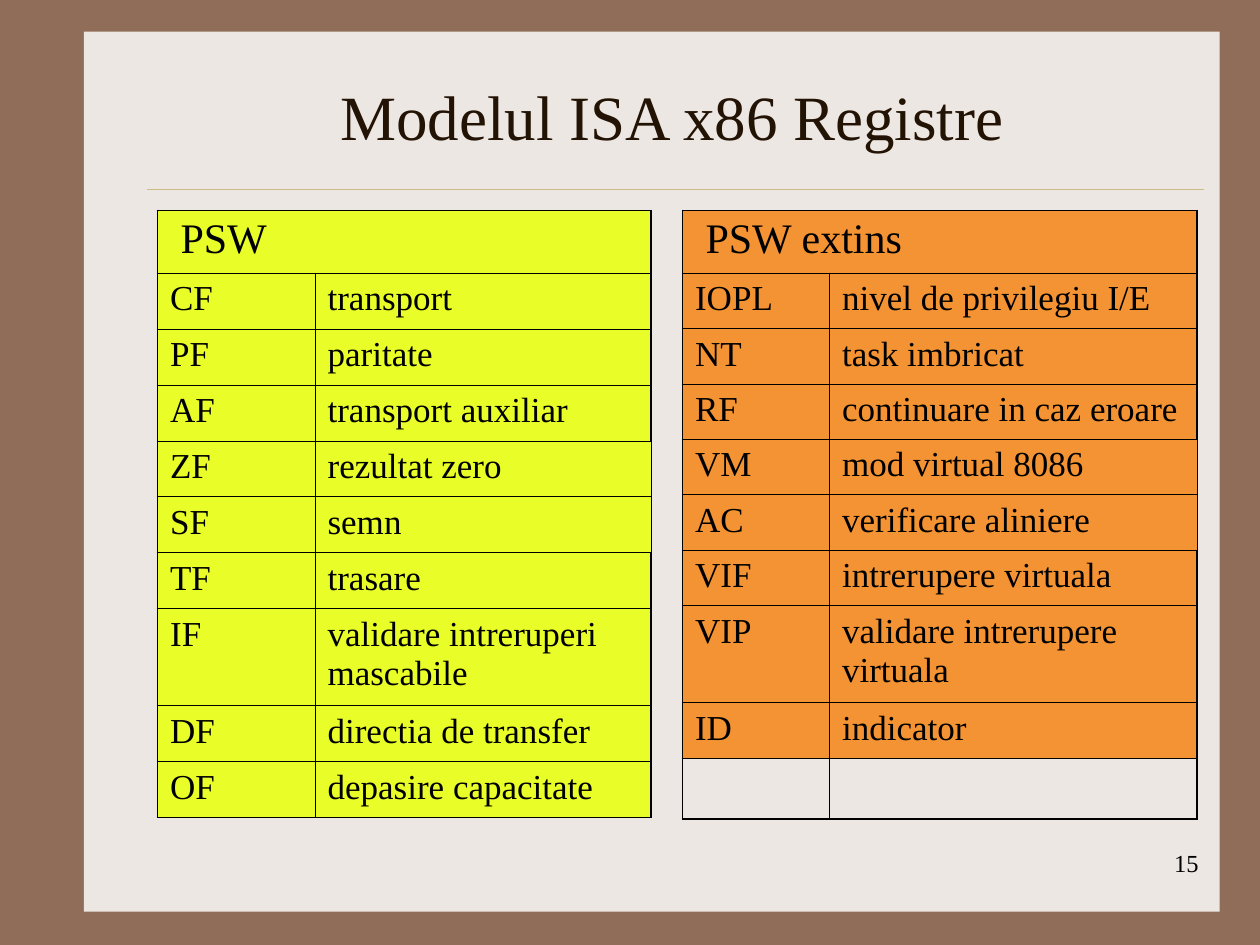
"""Build the x86 flag register slide with two tables of PSW flags."""
from dataclasses import dataclass

import lxml.etree
import pptx
import pptx.dml.color
import pptx.enum.shapes
import pptx.enum.text
import pptx.oxml.ns
import pptx.util

Pt = pptx.util.Pt
COLORS = {
    "frame": "906D58",
    "panel": "EDE7E3",
    "rule": "CBBD83",
    "title": "221304",
    "text": "000000",
    "yellow": "E9FD29",
    "orange": "F39333",
}
FONT = "Times New Roman"
THIN, THICK = 0.45, 1.08
HEADER_HEIGHT, TWO_LINE_HEIGHT = 36, 55.4
TABLE_TOP = 120
THIN_EDGE_ROWS = (4, 5)
TWO_LINE_ROW = 7


@dataclass
class FlagTable:
    """Content and geometry of one register table."""

    heading: str
    fill: str
    left: float
    widths: tuple[float, float]
    row_height: float
    last_height: float
    flags: list[tuple[str, str]]


TABLES = [
    FlagTable("PSW", "yellow", 90, (90, 192), 32, 32, [
        ("CF", "transport"),
        ("PF", "paritate"),
        ("AF", "transport auxiliar"),
        ("ZF", "rezultat zero"),
        ("SF", "semn"),
        ("TF", "trasare"),
        ("IF", "validare intreruperi mascabile"),
        ("DF", "directia de transfer"),
        ("OF", "depasire capacitate"),
    ]),
    FlagTable("PSW extins", "orange", 390, (84, 210), 31.7, 34.9, [
        ("IOPL", "nivel de privilegiu I/E"),
        ("NT", "task imbricat"),
        ("RF", "continuare in caz eroare"),
        ("VM", "mod virtual 8086"),
        ("AC", "verificare aliniere"),
        ("VIF", "intrerupere virtuala"),
        ("VIP", "validare intrerupere virtuala"),
        ("ID", "indicator"),
        ("", ""),
    ]),
]


def rgb(name: str) -> pptx.dml.color.RGBColor:
    """Return a named colour."""
    return pptx.dml.color.RGBColor.from_string(COLORS[name])


def write(frame, text: str, size: float, color: str = "text", align=None) -> None:
    """Put one formatted paragraph in a text frame."""
    frame.text = text
    para = frame.paragraphs[0]
    para.alignment = align
    for span in para.runs:
        span.font.size = Pt(size)
        span.font.name = FONT
        span.font.color.rgb = rgb(color)


def add_borders(cell, left: float, right: float, top: float, bottom: float) -> None:
    """Draw the four borders of a cell with the given widths."""
    properties = cell._tc.get_or_add_tcPr()
    qn = pptx.oxml.ns.qn
    for side, width in zip("LRTB", (left, right, top, bottom)):
        line = lxml.etree.SubElement(properties, qn(f"a:ln{side}"), w=str(int(Pt(width))))
        fill = lxml.etree.SubElement(line, qn("a:solidFill"))
        lxml.etree.SubElement(fill, qn("a:srgbClr"), val=COLORS["text"])


def add_flag_table(page, spec: FlagTable) -> None:
    """Add a table with a merged heading and one row per flag."""
    rows = [(spec.heading, ""), *spec.flags]
    last = len(rows) - 1
    heights = [HEADER_HEIGHT] + [spec.row_height] * last
    heights[TWO_LINE_ROW] = TWO_LINE_HEIGHT
    heights[last] = spec.last_height
    table = page.shapes.add_table(
        len(rows), 2, Pt(spec.left), Pt(TABLE_TOP), Pt(sum(spec.widths)), Pt(sum(heights))
    ).table
    table.first_row = table.horz_banding = False
    for column, width in zip(table.columns, spec.widths):
        column.width = Pt(width)
    for index, (row, texts) in enumerate(zip(table.rows, rows)):
        row.height = Pt(heights[index])
        outer = THIN if index in THIN_EDGE_ROWS else THICK
        bottom = THICK if index == last else THIN
        inner = THICK if index == 0 else THIN
        for cell, text, left, right in zip(row.cells, texts, (THICK, THIN), (inner, outer)):
            add_borders(cell, left, right, THIN, bottom)
            if any(texts):
                cell.fill.solid()
                cell.fill.fore_color.rgb = rgb(spec.fill)
            else:
                cell.fill.background()
            if text:
                write(cell.text_frame, text, 24 if index == 0 else 20)
    heading = table.cell(0, 0)
    heading.merge(table.cell(0, 1))
    heading.margin_left = Pt(13.2)


def add_panel(page) -> None:
    """Add the light panel and the rule under the title."""
    panel = page.shapes.add_shape(
        pptx.enum.shapes.MSO_SHAPE.RECTANGLE, Pt(48), Pt(18), Pt(649), Pt(503)
    )
    panel.shadow.inherit = False
    panel.fill.solid()
    panel.fill.fore_color.rgb = rgb("panel")
    panel.line.fill.background()
    rule = page.shapes.add_connector(
        pptx.enum.shapes.MSO_CONNECTOR.STRAIGHT, Pt(84), Pt(108), Pt(688), Pt(108)
    )
    rule.line.color.rgb = rgb("rule")
    rule.line.width = Pt(0.25)
    lxml.etree.SubElement(rule.element.spPr, pptx.oxml.ns.qn("a:effectLst"))


def add_title(page) -> None:
    """Format the title placeholder and bring it in front of the panel."""
    title = page.shapes.title
    title.left, title.top, title.width, title.height = Pt(84), Pt(30), Pt(600), Pt(72)
    title.text_frame.vertical_anchor = pptx.enum.text.MSO_ANCHOR.MIDDLE
    write(title.text_frame, "Modelul ISA x86 Registre", 36, "title",
          pptx.enum.text.PP_ALIGN.CENTER)
    title.element.getparent().append(title.element)


def add_page_number(page) -> None:
    """Add the page number at the lower right."""
    box = page.shapes.add_textbox(Pt(542), Pt(481), Pt(150), Pt(36))
    box.text_frame.word_wrap = True
    write(box.text_frame, "15", 14, align=pptx.enum.text.PP_ALIGN.RIGHT)


def main() -> None:
    """Build and save the deck."""
    deck = pptx.Presentation()
    deck.slide_width, deck.slide_height = Pt(720), Pt(540)
    page = deck.slides.add_slide(deck.slide_layouts[5])
    page.background.fill.solid()
    page.background.fill.fore_color.rgb = rgb("frame")
    add_panel(page)
    add_page_number(page)
    add_title(page)
    for spec in TABLES:
        add_flag_table(page, spec)
    deck.save("out.pptx")


if __name__ == "__main__":
    main()
